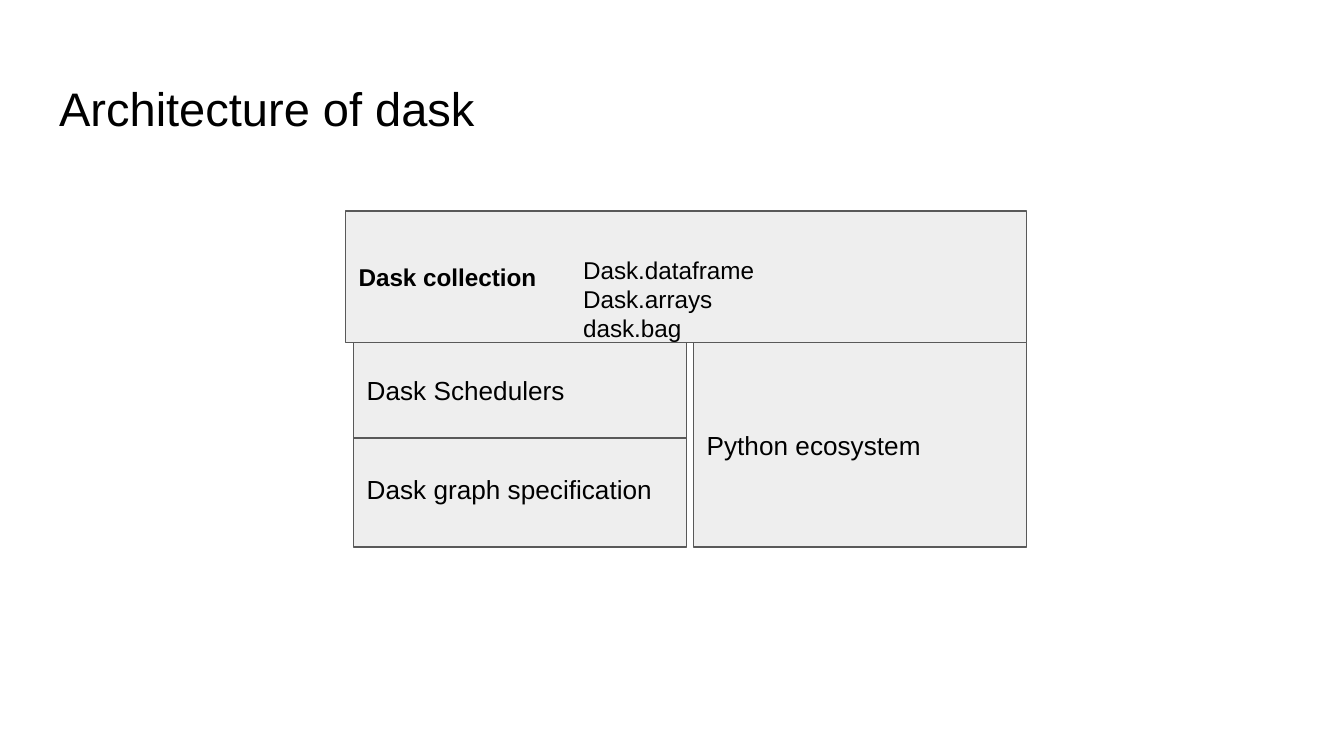
from pptx import Presentation
from pptx.dml.color import RGBColor
from pptx.enum.shapes import MSO_SHAPE
from pptx.enum.text import MSO_ANCHOR as Anchor, PP_ALIGN as Align
from pptx.util import Inches, Pt

# Content
TITLE = "Architecture of dask"
COLLECTIONS = ["Dask.dataframe", "Dask.arrays", "dask.bag"]

# Edges of the diagram's grid, in inches
LEFT, RIGHT = 2.57, 7.64
TOP, MIDDLE, BOTTOM = 1.57, 2.55, 4.07
COLUMN = 2.48
INNER_LEFT, INNER_RIGHT = 2.63, RIGHT - COLUMN

# Label, left, top, width, height, size, bold (back to front)
BLOCKS = [
    ("Dask graph specification", INNER_LEFT, 3.21, COLUMN, BOTTOM - 3.21, 14, False),
    ("Dask Schedulers", INNER_LEFT, MIDDLE, COLUMN, 0.71, 14, False),
    ("Python ecosystem", INNER_RIGHT, MIDDLE, COLUMN, BOTTOM - MIDDLE, 14, False),
    ("Dask collection", LEFT, TOP, RIGHT - LEFT, MIDDLE - TOP, 13, True),
]


def color(value):
    return RGBColor.from_string(value)


def write(shape, lines, size, anchor, bold=False):
    frame = shape.text_frame
    frame.word_wrap = True
    frame.vertical_anchor = anchor
    frame.margin_left = frame.margin_right = Inches(0.1)
    frame.margin_top = frame.margin_bottom = Inches(0.1)
    for index, line in enumerate(lines):
        paragraph = frame.add_paragraph() if index else frame.paragraphs[0]
        paragraph.alignment = Align.LEFT
        paragraph.line_spacing = 1.0
        run = paragraph.add_run()
        run.text = line
        run.font.name = "Arial"
        run.font.size = Pt(size)
        run.font.bold = bold
        run.font.color.rgb = color("000000")


# A 16:9 slide
presentation = Presentation()
presentation.slide_width = Inches(10)
presentation.slide_height = Inches(10 * 9 / 16)
slide = presentation.slides.add_slide(presentation.slide_layouts[5])

# Title
title = slide.shapes.title
title.left, title.top = Inches(0.34), Inches(0.49)
title.width, title.height = Inches(9.32), Inches(0.63)
write(title, [TITLE], 25.2, Anchor.TOP)

# Architecture blocks
for label, left, top, width, height, size, bold in BLOCKS:
    block = slide.shapes.add_shape(
        MSO_SHAPE.RECTANGLE, Inches(left), Inches(top), Inches(width), Inches(height))
    block.shadow.inherit = False
    block.fill.solid()
    block.fill.fore_color.rgb = color("EEEEEE")
    block.line.color.rgb = color("595959")
    block.line.width = Pt(0.75)
    write(block, [label], size, Anchor.MIDDLE, bold)

# Collection types, resting on the lower edge of the top block
collections = slide.shapes.add_textbox(
    Inches(4.24), Inches(TOP), Inches(5.21), Inches(1.08))
write(collections, COLLECTIONS, 13, Anchor.BOTTOM)

presentation.save("out.pptx")
